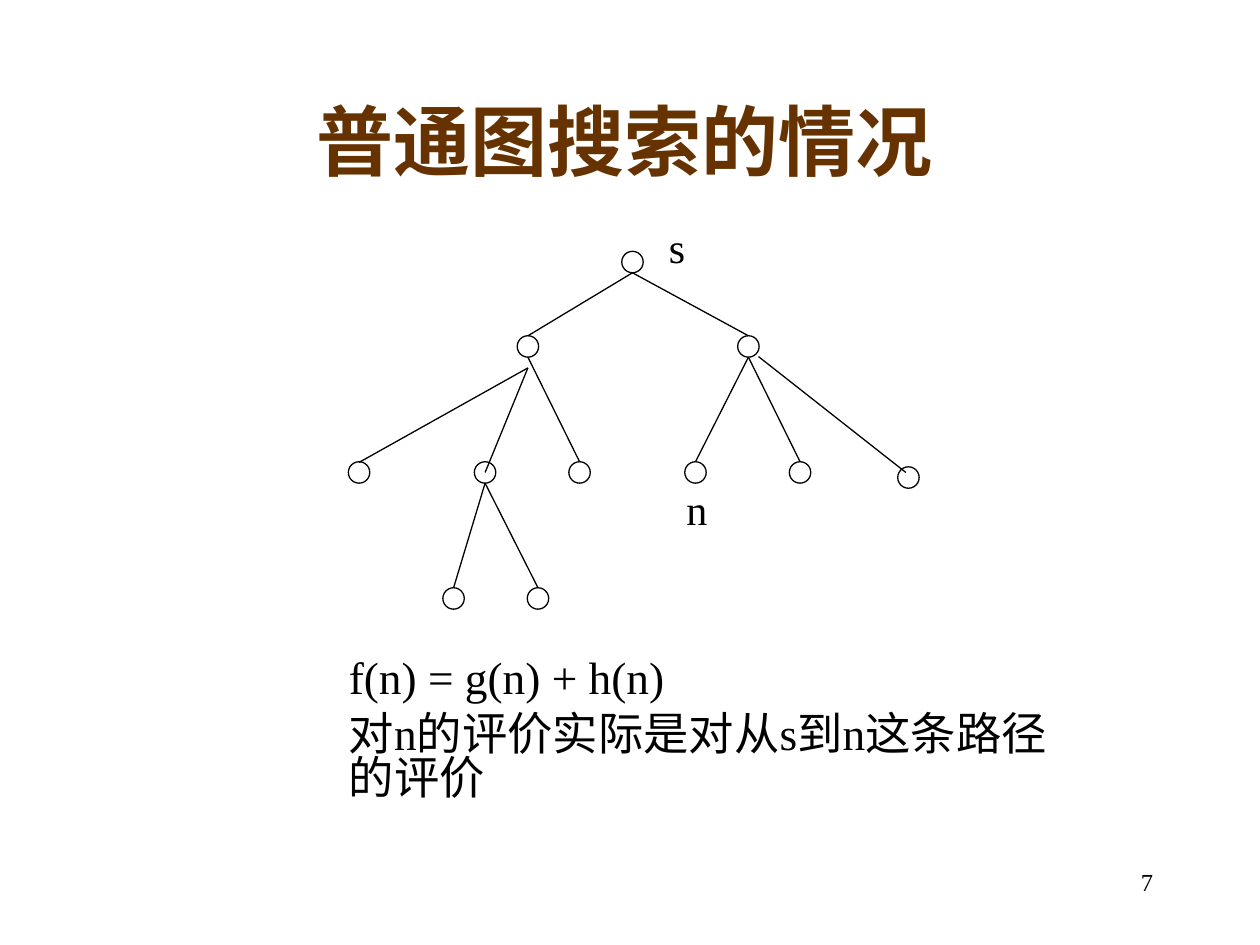
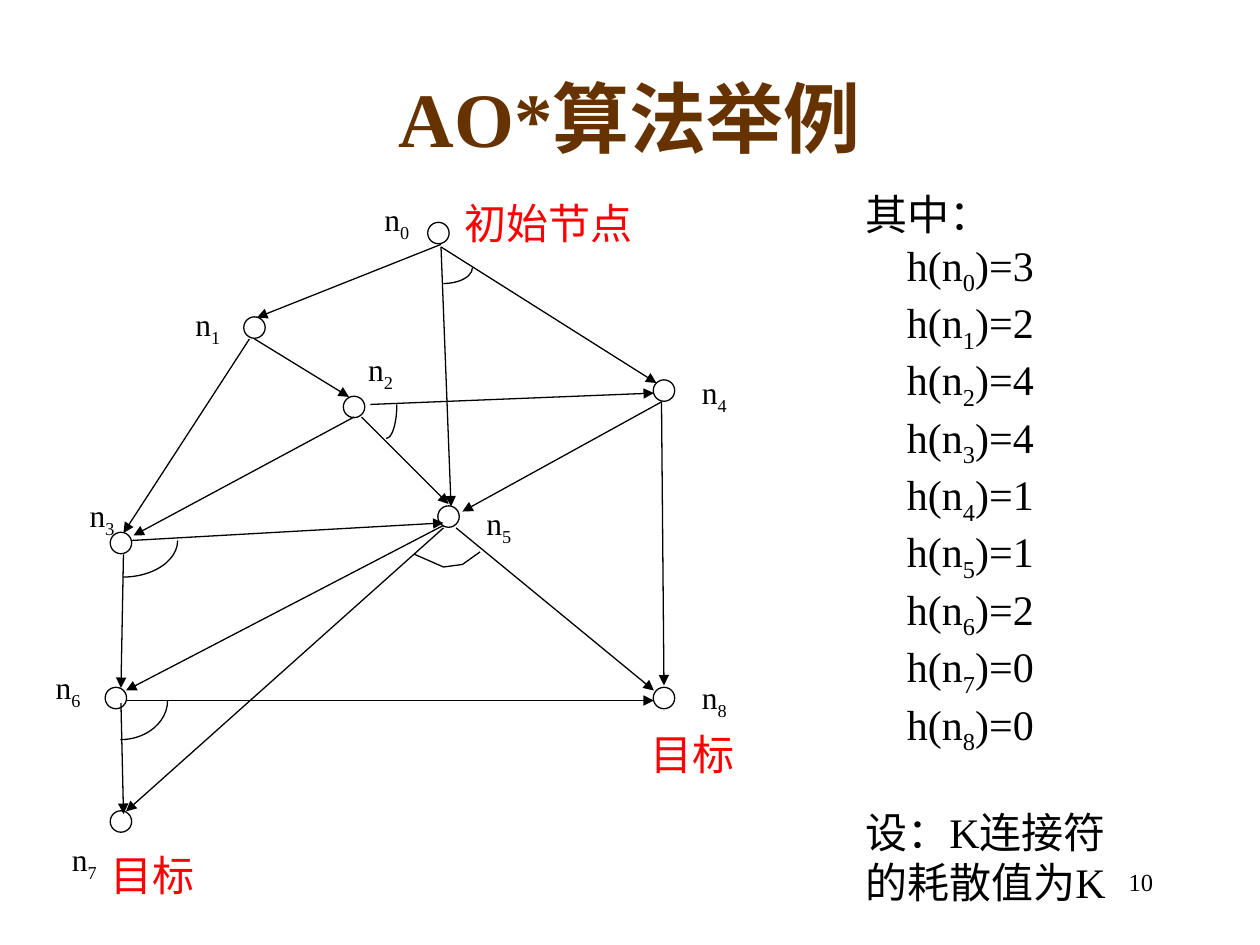
from typing import Any, NamedTuple, Optional

from lxml import etree
from pptx import Presentation
from pptx.dml.color import RGBColor
from pptx.enum.shapes import MSO_CONNECTOR, MSO_SHAPE
from pptx.enum.text import MSO_ANCHOR, MSO_AUTO_SIZE, PP_ALIGN
from pptx.oxml.ns import qn
from pptx.util import Inches, Pt

BLACK = RGBColor(0, 0, 0)
WHITE = RGBColor(0xFF, 0xFF, 0xFF)
BROWN = RGBColor(0x66, 0x33, 0x00)
RED = RGBColor(0xFF, 0x00, 0x00)
FONT = "Times New Roman"
NODE_SIZE = 0.17
LINE_WIDTH = Pt(0.75)


class Box(NamedTuple):
    x: float
    y: float
    w: float
    h: float


class Node(NamedTuple):
    x: float
    y: float
    filled: bool = False


class Edge(NamedTuple):
    x1: float
    y1: float
    x2: float
    y2: float


class Label(NamedTuple):
    text: str
    box: Box


# Shared helpers
def place(shape: Any, box: Box) -> None:
    for name, value in zip(("left", "top", "width", "height"), box):
        setattr(shape, name, Inches(value))


def add_run(p: Any, text: str, size: float, color: RGBColor = BLACK,
            bold: bool = False, subscript: bool = False) -> None:
    r = p.add_run()
    r.text = text
    for name, value in {"name": FONT, "size": Pt(size), "bold": bold}.items():
        setattr(r.font, name, value)
    r.font.color.rgb = color
    if subscript:
        r.font._element.set("baseline", "-25000")


def add_text(s: Any, box: Box, anchor: Any = MSO_ANCHOR.TOP) -> Any:
    tf = s.shapes.add_textbox(*map(Inches, box)).text_frame
    for name, value in {"word_wrap": True, "vertical_anchor": anchor}.items():
        setattr(tf, name, value)
    return tf


def add_slide(prs: Any, title: str, box: Box, number: int) -> Any:
    s = prs.slides.add_slide(prs.slide_layouts[5])
    place(s.shapes.title, box)
    tf = s.shapes.title.text_frame
    tf.auto_size = MSO_AUTO_SIZE.NONE
    tf.vertical_anchor = MSO_ANCHOR.MIDDLE
    p = tf.paragraphs[0]
    p.alignment = PP_ALIGN.CENTER
    add_run(p, title, 44, BROWN, bold=True)
    p = add_text(s, Box(7.17, 6.83, 2.08, 0.5)).paragraphs[0]
    p.alignment = PP_ALIGN.RIGHT
    add_run(p, str(number), 14)
    return s


def outline(shape: Any) -> None:
    shape.line.color.rgb = BLACK
    shape.line.width = LINE_WIDTH


def style_shape(shape: Any, filled: bool = False) -> None:
    shape.shadow.inherit = False
    if filled:
        shape.fill.solid()
        shape.fill.fore_color.rgb = WHITE
    else:
        shape.fill.background()
    outline(shape)


def add_node(s: Any, node: Node) -> None:
    half = NODE_SIZE / 2
    box = Box(node.x - half, node.y - half, NODE_SIZE, NODE_SIZE)
    style_shape(s.shapes.add_shape(MSO_SHAPE.OVAL, *map(Inches, box)), node.filled)


def add_edge(s: Any, edge: Edge, arrow: bool = False) -> None:
    line = s.shapes.add_connector(MSO_CONNECTOR.STRAIGHT, *map(Inches, edge))
    outline(line)
    if arrow:
        etree.SubElement(line.line._get_or_add_ln(), qn("a:tailEnd"), type="triangle")
    etree.SubElement(line._element.spPr, qn("a:effectLst"))


def add_arc(s: Any, box: Box) -> None:
    arc = s.shapes.add_shape(MSO_SHAPE.ARC, *map(Inches, box))
    arc.adjustments[0] = 0
    arc.adjustments[1] = 54  # quarter turn, from right to bottom
    style_shape(arc)


def add_label(s: Any, label: Label, size: float, color: RGBColor = BLACK,
              index: Optional[int] = None) -> None:
    p = add_text(s, label.box, MSO_ANCHOR.MIDDLE).paragraphs[0]
    p.alignment = PP_ALIGN.CENTER
    add_run(p, label.text, size, color)
    if index is not None:
        add_run(p, str(index), size, color, subscript=True)


# Search tree: each child with its parent, and its edge if it is irregular
class Branch(NamedTuple):
    parent: str
    child: str
    edge: Optional[Edge] = None


TREE = {
    "left": Node(4.19, 2.75, True), "right": Node(5.94, 2.75, True),
    "a": Node(2.85, 3.75), "b": Node(3.85, 3.75, True), "c": Node(4.6, 3.75),
    "n": Node(5.52, 3.75), "d": Node(6.35, 3.75), "e": Node(7.21, 3.79),
    "b1": Node(3.6, 4.75), "b2": Node(4.27, 4.75),
    "s": Node(5.02, 2.08, True),
}
BRANCHES = [
    Branch("s", "left"), Branch("s", "right"),
    Branch("left", "a", Edge(4.19, 2.92, 2.85, 3.67)),
    Branch("left", "b", Edge(4.19, 2.92, 3.85, 3.75)),
    Branch("left", "c"), Branch("right", "n"), Branch("right", "d"),
    Branch("right", "e", Edge(6.02, 2.83, 7.19, 3.75)),
    Branch("b", "b1"), Branch("b", "b2"),
]
TREE_LABELS = [Label("n", Box(5.35, 3.79, 0.37, 0.5)),
               Label("s", Box(5.21, 1.71, 0.38, 0.5))]
EVALUATION = ["f(n) = g(n) + h(n)", "对n的评价实际是对从s到n这条路径的评价"]


def build_tree_slide(prs: Any) -> None:
    s = add_slide(prs, "普通图搜索的情况", Box(0.71, 0.48, 8.5, 1.25), 7)
    for node in TREE.values():
        add_node(s, node)
    half = NODE_SIZE / 2
    for branch in BRANCHES:
        top, bottom = TREE[branch.parent], TREE[branch.child]
        add_edge(s, branch.edge or Edge(top.x, top.y + half, bottom.x, bottom.y - half))
    for label in TREE_LABELS:
        add_run(add_text(s, label.box).paragraphs[0], label.text, 24)
    # Evaluation function
    tf = add_text(s, Box(2.67, 5.19, 5.87, 1.31))
    for i, text in enumerate(EVALUATION):
        p = tf.add_paragraph() if i else tf.paragraphs[0]
        p.line_spacing = 0.8
        if i:
            p.space_before = Pt(7)
        add_run(p, text, 25.9)


# AND/OR graph: node centre and label corner, n0 to n8
GRAPH = [
    (Node(3.48, 1.85), (2.95, 1.54)), (Node(2.02, 2.6), (1.45, 2.37)),
    (Node(2.81, 3.23), (2.82, 2.73)), (Node(0.96, 4.31), (0.61, 3.89)),
    (Node(5.27, 3.1), (5.47, 2.91)), (Node(3.56, 4.1), (3.76, 3.95)),
    (Node(0.92, 5.54), (0.34, 5.25)), (Node(0.96, 6.52), (0.47, 6.62)),
    (Node(5.27, 5.54), (5.47, 5.33)),
]
ARROWS = [
    Edge(3.5, 1.94, 2.04, 2.52), Edge(3.5, 1.96, 3.58, 4.02),
    Edge(3.5, 1.96, 5.21, 3.04), Edge(1.98, 2.69, 0.98, 4.23),
    Edge(2.02, 2.69, 2.77, 3.15), Edge(2.87, 3.31, 3.56, 4),
    Edge(2.94, 3.21, 5.19, 3.12), Edge(2.81, 3.31, 1.06, 4.25),
    Edge(1.04, 4.29, 3.52, 4.15), Edge(0.98, 4.4, 0.96, 5.46),
    Edge(5.25, 3.19, 3.67, 4.06), Edge(5.25, 3.19, 5.27, 5.44),
    Edge(3.52, 4.17, 1, 5.48), Edge(3.52, 4.19, 1, 6.44),
    Edge(3.62, 4.19, 5.19, 5.48), Edge(1, 5.56, 5.19, 5.56),
    Edge(0.96, 5.58, 0.98, 6.46),
]
ARCS = [Box(3.29, 2, 0.46, 0.25), Box(2.98, 2.94, 0.17, 0.54),
        Box(0.54, 4, 0.87, 0.58), Box(0.58, 5.25, 0.75, 0.62)]
N5_LINK = [(3.29, 4.4), (3.52, 4.5), (3.67, 4.48), (3.81, 4.38)]
ROLES = [Label("目标", Box(0.73, 6.69, 0.96, 0.5)),
         Label("目标", Box(5.02, 5.73, 0.96, 0.5)),
         Label("初始节点", Box(3.54, 1.52, 1.63, 0.5))]
H_VALUES = [3, 2, 4, 4, 1, 1, 2, 0, 0]


def add_heuristics(s: Any) -> None:
    tf = add_text(s, Box(6.77, 1.45, 2.6, 5.9))
    add_run(tf.paragraphs[0], "其中：", 24)
    for i, value in enumerate(H_VALUES):
        p = tf.add_paragraph()
        p._p.get_or_add_pPr().set("marL", str(Inches(0.33)))
        add_run(p, "h(n", 24)
        add_run(p, str(i), 24, subscript=True)
        add_run(p, f")={value}", 24)
    for text, gap in (("设：K连接符", 29), ("的耗散值为K", 0)):
        p = tf.add_paragraph()
        p.space_before = Pt(gap)
        add_run(p, text, 24)


def build_graph_slide(prs: Any) -> None:
    s = add_slide(prs, "AO*算法举例", Box(0.75, 0.48, 8.5, 0.9), 10)
    add_heuristics(s)
    for node, _ in GRAPH:
        add_node(s, node)
    for edge in ARROWS:
        add_edge(s, edge, arrow=True)
    # Marks joining the arrows of one connector
    for box in ARCS:
        add_arc(s, box)
    points = [(Inches(x), Inches(y)) for x, y in N5_LINK]
    builder = s.shapes.build_freeform(*points[0])
    builder.add_line_segments(points[1:], close=False)
    style_shape(builder.convert_to_shape())
    # Labels
    for role in ROLES:
        add_label(s, role, 24, RED)
    for i, (_, corner) in enumerate(GRAPH):
        add_label(s, Label("n", Box(*corner, 0.4, 0.44)), 18, index=i)


def main() -> None:
    prs = Presentation()
    prs.slide_width, prs.slide_height = Inches(10), Inches(7.5)
    build_tree_slide(prs)
    build_graph_slide(prs)
    prs.save("out.pptx")


if __name__ == "__main__":
    main()
